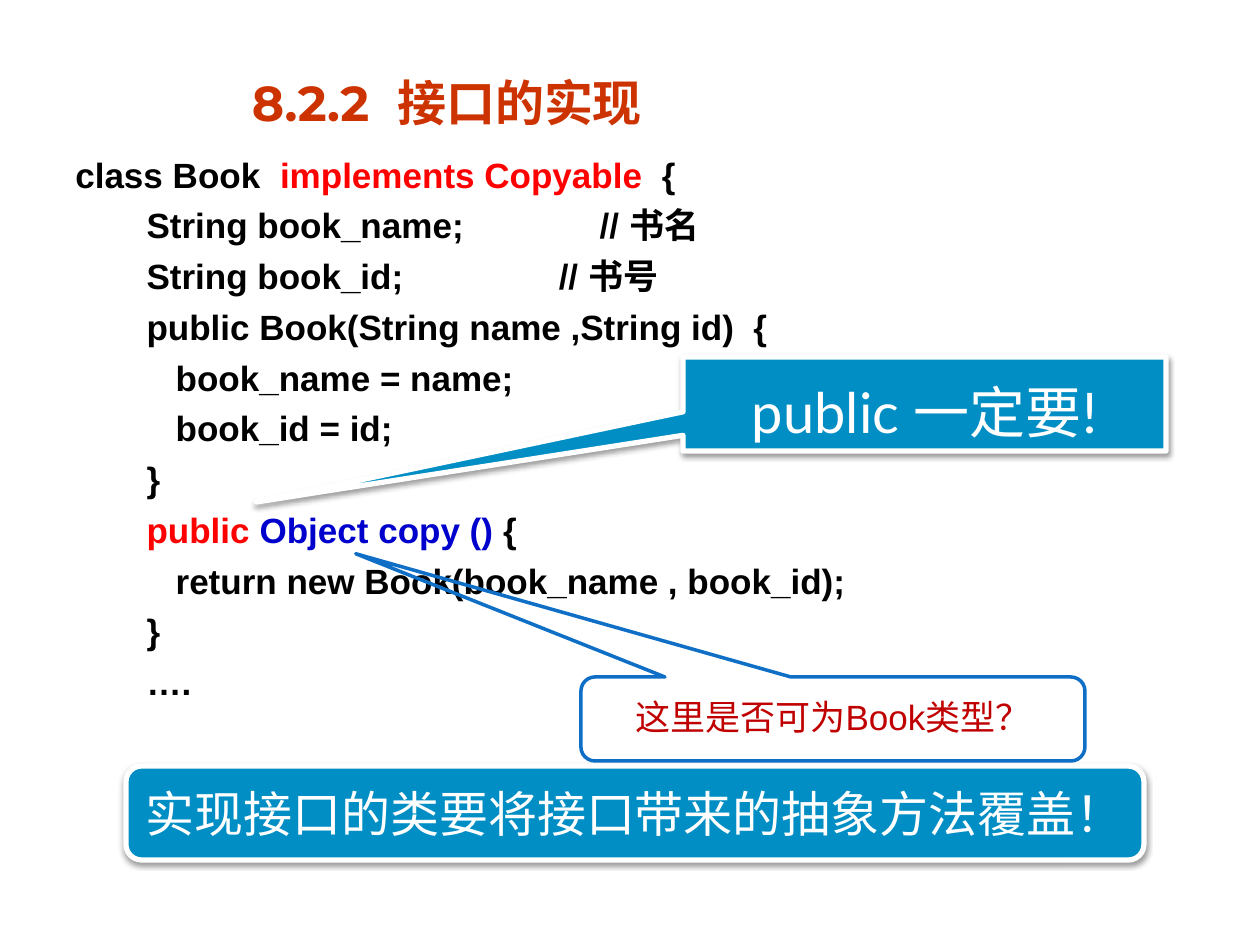
"""Build the slide on implementing an interface."""
import pptx
import pptx.util
import pptx.dml.color
import pptx.enum.shapes
import pptx.enum.text
import pptx.oxml
import pptx.oxml.ns

Pt = pptx.util.Pt
Kind = pptx.enum.shapes.MSO_SHAPE
Side = pptx.enum.text.PP_ALIGN
Edge = pptx.enum.text.MSO_ANCHOR

HUES = {"title": "CC3300", "code": "000000", "key": "FF0000", "type": "0000CC",
        "ask": "C00000", "rim": "0F6FC6", "fill": "008EC4", "white": "FFFFFF"}

TITLE = "8.2.2  接口的实现"
CODE = [
    [("class Book  ", "code"), ("implements Copyable  ", "key"), ("{", "code")],
    [("   String book_name;              // 书名", "code")],
    [("   String book_id;                // 书号", "code")],
    [("   public Book(String name ,String id)  {", "code")],
    [("      book_name = name;", "code")],
    [("      book_id = id;", "code")],
    [("   }", "code")],
    [("   ", "code"), ("public ", "key"), ("Object copy ()", "type"), (" {", "code")],
    [("      return new Book(book_name , book_id);", "code")],
    [("   }", "code")],
    [("   ….", "code")],
]
NOTES = [
    {"kind": Kind.ROUNDED_RECTANGULAR_CALLOUT, "box": (581, 677, 504, 84),
     "adj": (-0.947, -1.968, 0.167), "fill": None, "line": ("rim", 2),
     "text": "这里是否可为Book类型？", "font": ("Arial", 20, "ask"),
     "anchor": Edge.MIDDLE, "lead": 0.9, "after": 3},
    {"kind": Kind.RECTANGULAR_CALLOUT, "box": (683, 357, 483, 94),
     "adj": (-1.383, 1.042), "fill": "fill", "line": ("white", 3),
     "text": "public 一定要!", "font": ("Lato", 32, "white"),
     "anchor": Edge.BOTTOM, "lead": 1.5, "after": 0},
    {"kind": Kind.ROUNDED_RECTANGLE, "box": (126, 766, 1018, 94),
     "adj": (), "fill": "fill", "line": ("white", 3),
     "text": "实现接口的类要将接口带来的抽象方法覆盖！", "font": ("Arial", 28, "white"),
     "anchor": Edge.MIDDLE, "lead": 1, "after": 0},
]
SHADE = (
    '<a:effectLst %s><a:outerShdw blurRad="40000" dist="20000" dir="5400000" rotWithShape="0">'
    '<a:srgbClr val="000000"><a:alpha val="38000"/></a:srgbClr></a:outerShdw></a:effectLst>'
    % pptx.oxml.ns.nsdecls("a"))


def px(num):
    return round(num * 914400 / 126)


def hue(name):
    return pptx.dml.color.RGBColor.from_string(HUES[name])


def add_run(para, text, face, size, tint, bold=False):
    run = para.add_run()
    run.text = text
    run.font.name, run.font.size, run.font.bold = face, Pt(size), bold
    run.font.color.rgb = hue(tint)


def add_box(slide, box):
    frame = slide.shapes.add_textbox(*map(px, box)).text_frame
    frame.word_wrap = True
    return frame


def add_title(slide):
    frame = add_box(slide, (252, 52, 784, 79))
    frame.vertical_anchor = Edge.BOTTOM
    frame.margin_left = frame.margin_right = frame.margin_bottom = 0
    add_run(frame.paragraphs[0], TITLE, "Montserrat", 28, "title", True)


def add_code(slide):
    frame = add_box(slide, (63, 147, 1134, 693))
    for row, runs in enumerate(CODE):
        para = frame.add_paragraph() if row else frame.paragraphs[0]
        left, hang = (67, 25) if row else (28, 28)
        props = para._p.get_or_add_pPr()
        props.set("marL", str(px(left)))
        props.set("indent", str(-px(hang)))
        para.space_before = Pt(5 if row else 0)
        for text, tint in runs:
            add_run(para, text, "Arial", 20, tint, True)


def add_note(slide, note):
    shape = slide.shapes.add_shape(note["kind"], *map(px, note["box"]))
    for spot, value in enumerate(note["adj"]):
        shape.adjustments[spot] = value
    tint, width = note["line"]
    shape.line.color.rgb = hue(tint)
    shape.line.width = Pt(width)
    if note["fill"]:
        shape.fill.solid()
        shape.fill.fore_color.rgb = hue(note["fill"])
        shape._element.spPr.append(pptx.oxml.parse_xml(SHADE))
    else:
        shape.fill.background()
        shape.shadow.inherit = False
    frame = shape.text_frame
    frame.word_wrap = True
    frame.vertical_anchor = note["anchor"]
    para = frame.paragraphs[0]
    para.alignment = Side.CENTER
    para.line_spacing = float(note["lead"])
    para.space_after = Pt(note["after"])
    add_run(para, note["text"], *note["font"])


def main():
    deck = pptx.Presentation()
    deck.slide_width, deck.slide_height = px(1260), px(945)
    slide = deck.slides.add_slide(deck.slide_layouts[6])
    add_title(slide)
    add_code(slide)
    for note in NOTES:
        add_note(slide, note)
    deck.save("out.pptx")


if __name__ == "__main__":
    main()
